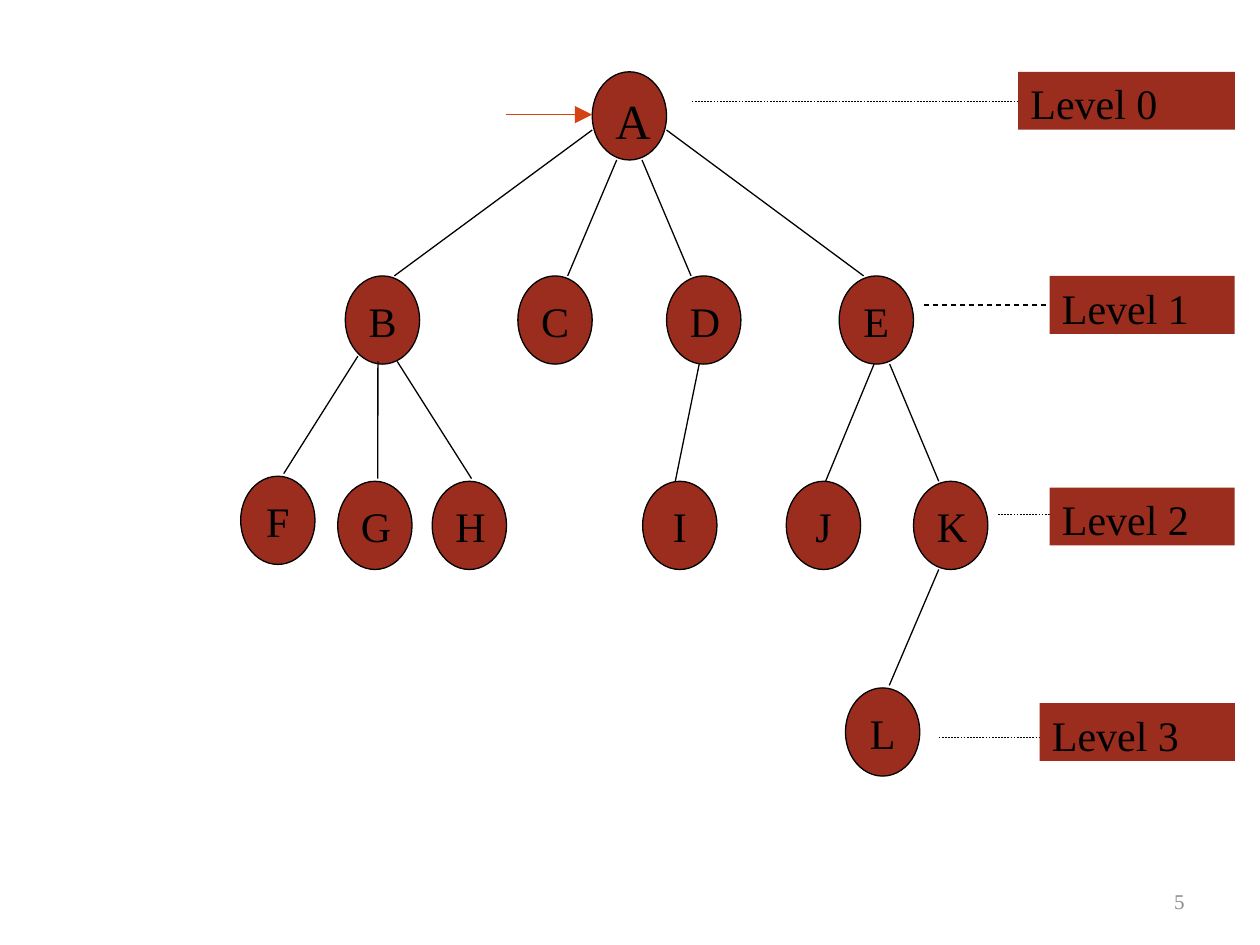
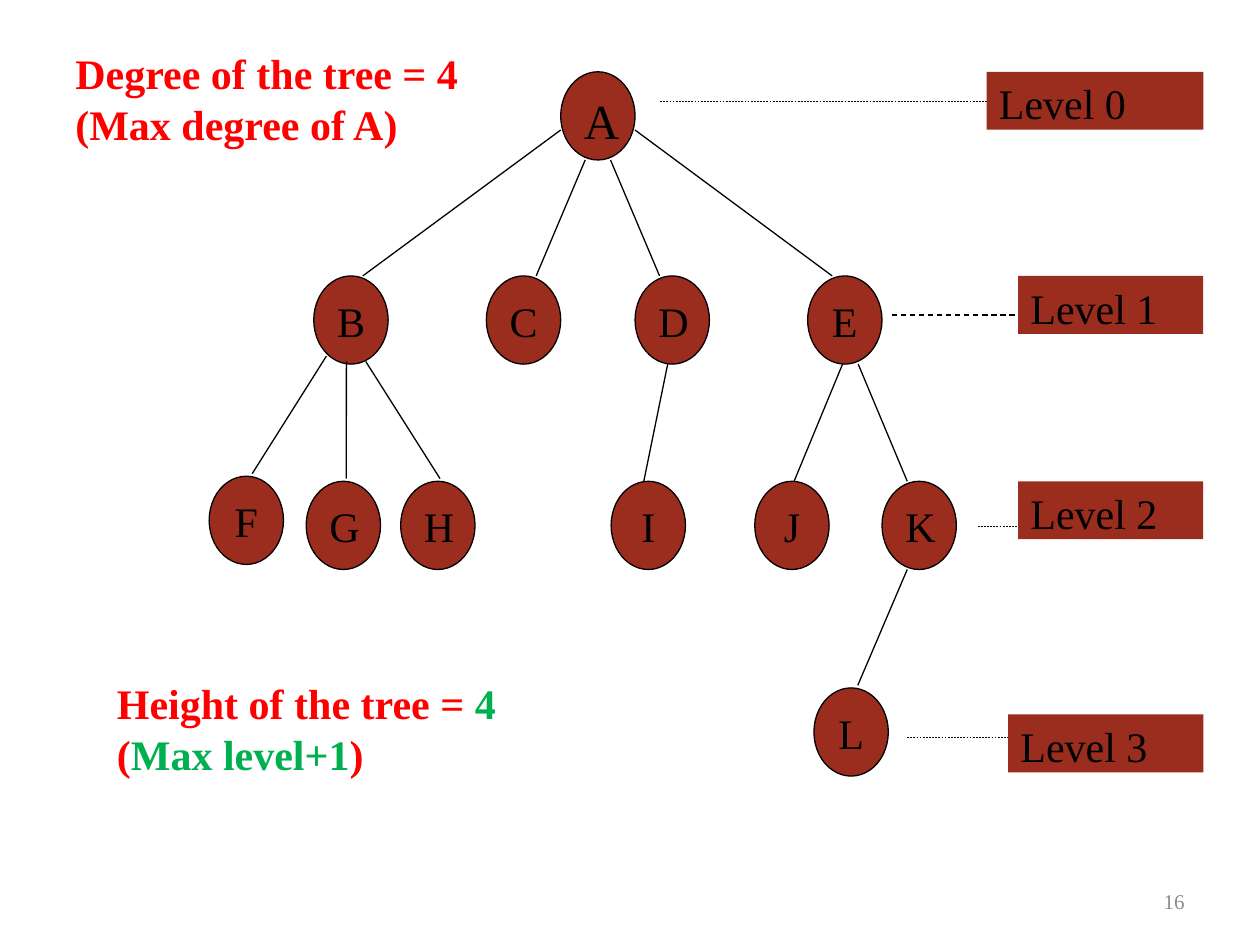
import pptx
import pptx.util
import pptx.dml.color
import pptx.enum.dml
import pptx.enum.shapes
import pptx.enum.text
import pptx.oxml
import pptx.oxml.ns
from dataclasses import dataclass

Inch = pptx.util.Inches
Point = pptx.util.Pt
Kind = pptx.enum.shapes.MSO_SHAPE
Align = pptx.enum.text.PP_ALIGN
Anchor = pptx.enum.text.MSO_ANCHOR


@dataclass(frozen=True)
class Theme:
    font: str = "Times New Roman"
    fill: str = "9B2D1F"
    ink: str = "000000"
    arrow: str = "D34412"
    red: str = "FF0000"
    green: str = "00B050"
    gray: str = "8C8C8C"
    root: int = 28
    body: int = 24
    foot: int = 12
    thin: float = 0.25
    line: float = 0.75


look = Theme()

# Tree: left edge of each node, by row; sizes in inches
tops = (0.57, 2.19, 3.82, 5.46)
rows = (
    {"A": 4.7},
    {"B": 2.74, "C": 4.11, "D": 5.29, "E": 6.66},
    {"F": 1.91, "G": 2.68, "H": 3.43, "I": 5.1, "J": 6.24, "K": 7.25},
    {"L": 6.71},
)
wide, high = 0.59, 0.7
lift = {"F": 0.04}
nodes = {name: (left, top - lift.get(name, 0))
         for top, row in zip(tops, rows) for name, left in row.items()}

# Edges: parent and child, then both ends as shares of their node
edges = (
    ("AB", (0, 0.66), (0.66, 0)),
    ("AC", (0.33, 1), (0.67, 0)),
    ("AD", (0.67, 1), (0.33, 0)),
    ("AE", (1, 0.66), (0.33, 0)),
    ("BF", (0.17, 0.91), (0.58, -0.03)),
    ("BG", (0.44, 0.97), (0.54, -0.03)),
    ("BH", (0.7, 0.97), (0.53, -0.03)),
    ("DI", (0.44, 1), (0.44, 0)),
    ("EJ", (0.47, 1), (0.53, 0)),
    ("EK", (0.68, 1), (0.34, 0)),
    ("KL", (0.34, 1), (0.59, -0.03)),
)

# Level tags: right edge and height, then width of each
right, tall = 9.8, 0.46
spans = (1.72, 1.47, 1.47, 1.55)

# Slides: tag tops, and for each tag its dashed line (start, end, y)
pages = (
    {"num": "5", "shift": 0, "arrow": True, "notes": (),
     "tags": (0.57, 2.19, 3.87, 5.58),
     "dashes": ((5.49, 8.43, 0.8), (7.33, 8.31, 2.42),
                (7.92, 8.34, 4.08), (7.45, 8.43, 5.85))},
    {"num": "16", "shift": -0.25, "arrow": False,
     "tags": (0.57, 2.19, 3.82, 5.67),
     "dashes": ((5.49, 8.43, 0.8), (7.33, 8.31, 2.5),
                (8.01, 8.43, 4.18), (7.45, 8.43, 5.85)),
     "notes": (
         ((0.5, 0.33, 3.83, 0.91),
          ((("Degree of the tree = 4", look.red),),
           (("(Max degree of A)", look.red),))),
         ((0.83, 5.33, 4.75, 0.91),
          ((("Height of the tree = ", look.red), ("4", look.green)),
           (("(", look.red), ("Max level+1", look.green),
            (")", look.red)))))},
)


def tint(code):
    return pptx.dml.color.RGBColor.from_string(code)


def write(shape, text, size=look.body, color=look.ink, bold=False,
          align=Align.LEFT, anchor=Anchor.TOP):
    """Fill a shape with a string, or with lines of (words, colour) runs."""
    lines = (((text, color),),) if isinstance(text, str) else text
    frame = shape.text_frame
    frame.word_wrap = True
    frame.vertical_anchor = anchor
    for i, line in enumerate(lines):
        para = frame.add_paragraph() if i else frame.paragraphs[0]
        para.alignment = align
        for words, shade in line:
            run = para.add_run()
            run.text = words
            run.font.name = look.font
            run.font.size = Point(size)
            run.font.bold = bold
            run.font.color.rgb = tint(shade)


def block(slide, kind, box, text, edge=None, **form):
    shape = slide.shapes.add_shape(kind, *map(Inch, box))
    shape.shadow.inherit = False
    shape.fill.solid()
    shape.fill.fore_color.rgb = tint(look.fill)
    if edge:
        shape.line.color.rgb = tint(edge)
        shape.line.width = Point(look.line)
    else:
        shape.line.fill.background()
    write(shape, text, **form)


def label(slide, box, text, **form):
    write(slide.shapes.add_textbox(*map(Inch, box)), text, **form)


def link(slide, start, end, color=look.ink, width=look.line,
         dash=False, head=False):
    line = slide.shapes.add_connector(
        pptx.enum.shapes.MSO_CONNECTOR.STRAIGHT, *map(Inch, start + end))
    line.line.color.rgb = tint(color)
    line.line.width = Point(width)
    if dash:
        line.line.dash_style = pptx.enum.dml.MSO_LINE.DASH
    props = line._element.spPr
    if head:
        tip = pptx.oxml.parse_xml(
            '<a:tailEnd %s type="triangle" w="lg" len="lg"/>'
            % pptx.oxml.ns.nsdecls("a"))
        props.find(pptx.oxml.ns.qn("a:ln")).append(tip)
    props.append(pptx.oxml.parse_xml(
        "<a:effectLst %s/>" % pptx.oxml.ns.nsdecls("a")))


def tree(slide, shift):
    for name, (left, top) in nodes.items():
        block(slide, Kind.OVAL, (left + shift, top, wide, high), name,
              edge=look.ink, align=Align.CENTER,
              size=look.root if name == "A" else look.body)
    for pair, *ends in edges:
        start, end = (
            (nodes[name][0] + shift + x * wide, nodes[name][1] + y * high)
            for name, (x, y) in zip(pair, ends))
        link(slide, start, end)


def levels(slide, page):
    shift = page["shift"]
    parts = zip(spans, page["tags"], page["dashes"])
    for i, (span, top, (start, end, y)) in enumerate(parts):
        link(slide, (start + shift, y), (end + shift, y), dash=True,
             width=look.line if i == 1 else look.thin)
        block(slide, Kind.RECTANGLE,
              (right - span + shift, top, span, tall), f"Level {i}")


def main():
    deck = pptx.Presentation()
    deck.slide_width, deck.slide_height = Inch(10), Inch(7.5)
    for page in pages:
        slide = deck.slides.add_slide(deck.slide_layouts[6])
        tree(slide, page["shift"])
        levels(slide, page)
        for box, lines in page["notes"]:
            label(slide, box, lines, bold=True)
        # Slide number
        label(slide, (7.17, 6.95, 2.33, 0.4), page["num"], size=look.foot,
              color=look.gray, align=Align.RIGHT, anchor=Anchor.MIDDLE)
        # Arrow to the root
        if page["arrow"]:
            link(slide, (4.02, 0.91), (4.7, 0.91), color=look.arrow,
                 head=True)
    deck.save("out.pptx")


if __name__ == "__main__":
    main()
